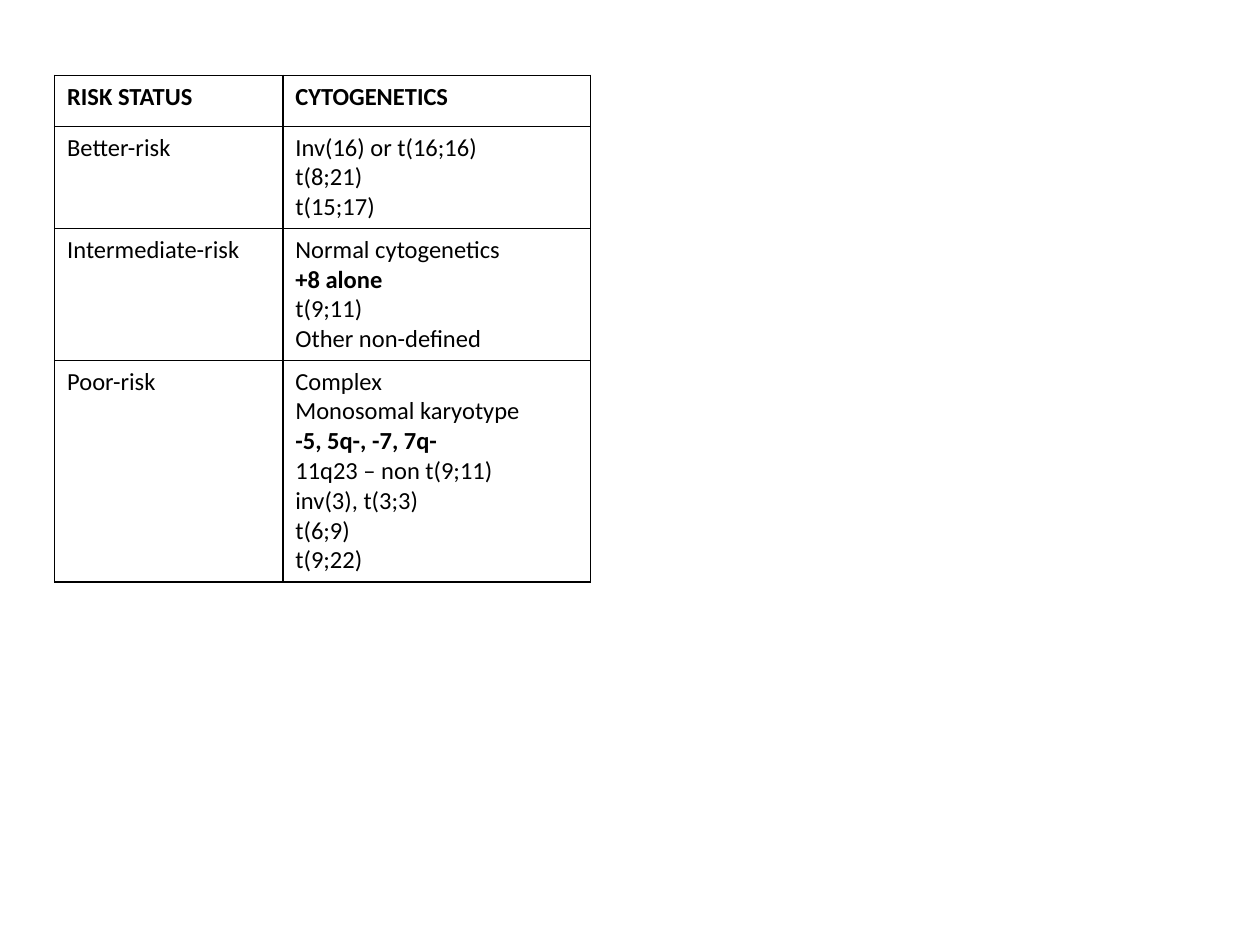
from pptx import Presentation
from pptx.dml.color import RGBColor
from pptx.oxml import parse_xml
from pptx.oxml.ns import nsdecls
from pptx.util import Cm, Pt

COLORS = {"text": "000000", "border": "000000"}
FONT = "Calibri"
BORDER_PT = 1
ROW_HEIGHT = Cm(1.03)  # minimum; rows grow with their text
COL_SHARES = (0.426, 0.574)

HEADER = ("RISK STATUS", "CYTOGENETICS")
RISK_GROUPS = [
    ("Better-risk", ["Inv(16) or t(16;16)", "t(8;21)", "t(15;17)"]),
    ("Intermediate-risk", ["Normal cytogenetics", "+8 alone", "t(9;11)",
                           "Other non-defined"]),
    ("Poor-risk", ["Complex", "Monosomal karyotype", "-5, 5q-, -7, 7q-",
                   "11q23 – non t(9;11)", "inv(3), t(3;3)", "t(6;9)",
                   "t(9;22)"]),
]
BOLD_LINES = {*HEADER, "+8 alone", "-5, 5q-, -7, 7q-"}


def set_borders(cell):
    tc_pr = cell._tc.get_or_add_tcPr()
    # Borders come before the fill in the cell properties
    for i, side in enumerate(("lnL", "lnR", "lnT", "lnB")):
        tc_pr.insert(i, parse_xml(
            f'<a:{side} {nsdecls("a")} w="{Pt(BORDER_PT)}"><a:solidFill>'
            f'<a:srgbClr val="{COLORS["border"]}"/></a:solidFill></a:{side}>'))


def fill_cell(cell, lines):
    cell.fill.background()
    set_borders(cell)
    tf = cell.text_frame
    tf.text = "\n".join(lines)
    for p in tf.paragraphs:
        p.font.name = FONT
        p.font.size = Pt(14)
        p.font.bold = p.text in BOLD_LINES
        p.font.color.rgb = RGBColor.from_string(COLORS["text"])


def add_risk_table(slide, left, top, width, height):
    rows = [([HEADER[0]], [HEADER[1]])]
    rows += [([risk], findings) for risk, findings in RISK_GROUPS]
    s = slide.shapes.add_table(len(rows), len(HEADER), left, top, width, height)
    table = s.table
    table.first_row = table.horz_banding = False

    # Column and row sizes
    for column, share in zip(table.columns, COL_SHARES):
        column.width = int(width * share)
    for row in table.rows:
        row.height = ROW_HEIGHT
    s.height = height

    # Cell contents
    for row, contents in zip(table.rows, rows):
        for cell, lines in zip(row.cells, contents):
            fill_cell(cell, lines)


prs = Presentation()
prs.slide_width, prs.slide_height = Cm(25.4), Cm(19.05)
slide = prs.slides.add_slide(prs.slide_layouts[6])
add_risk_table(slide, Cm(1.1), Cm(1.52), Cm(10.8), Cm(10.08))
prs.save("out.pptx")
